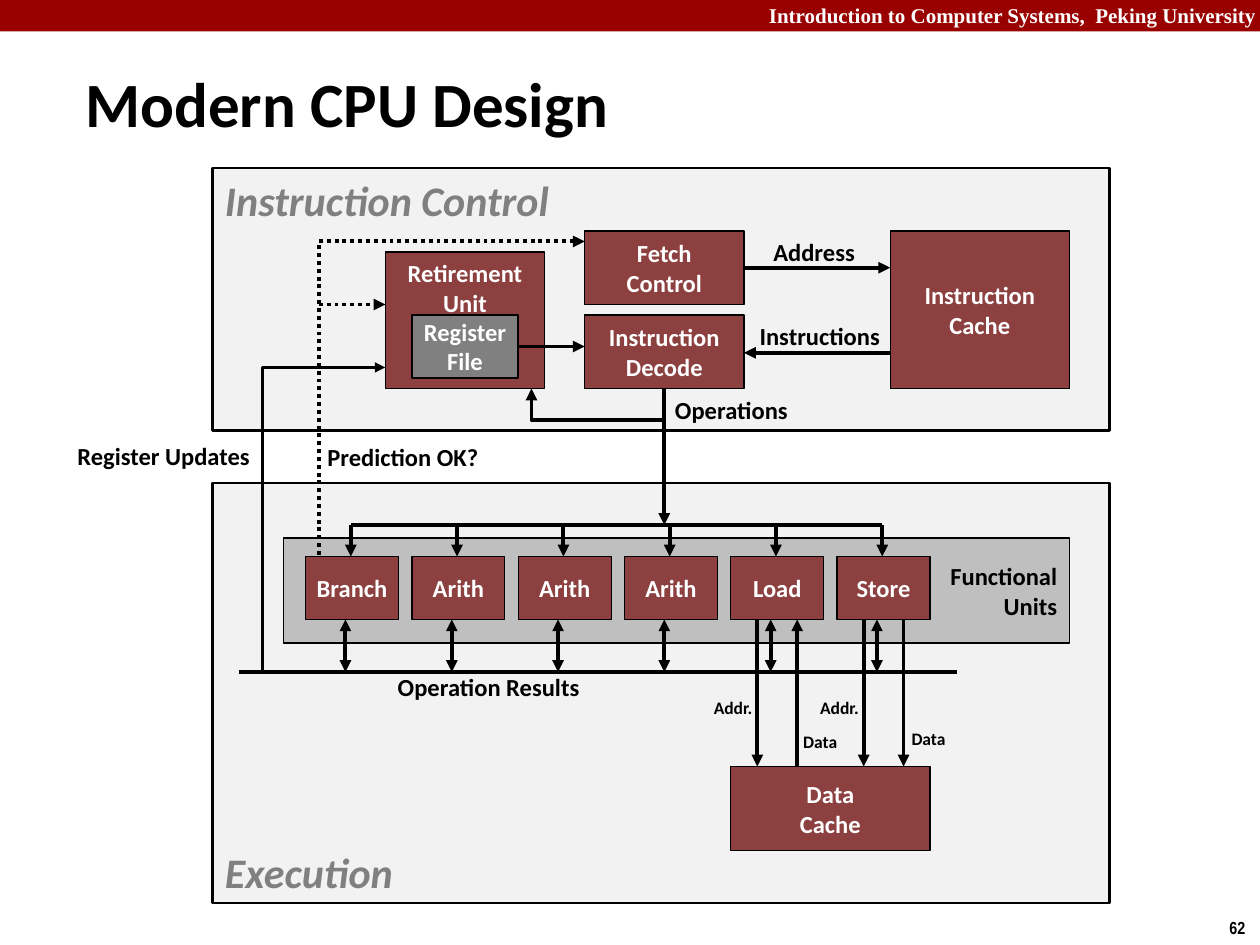
import pptx
import pptx.util
import pptx.dml.color
import pptx.enum.dml
import pptx.enum.shapes
import pptx.enum.text
import pptx.oxml
import pptx.oxml.ns

# Grid of the diagram, in inches
COLUMN, ROW = 5.8 / 55, 1 / 12
BLACK, WHITE, GREY, BRICK, PALE = "000000", "FFFFFF", "808080", "8C4040", "F2F2F2"
ALIGN = {"l": pptx.enum.text.PP_ALIGN.LEFT, "c": pptx.enum.text.PP_ALIGN.CENTER,
         "r": pptx.enum.text.PP_ALIGN.RIGHT}
ANCHOR = {"t": pptx.enum.text.MSO_ANCHOR.TOP, "m": pptx.enum.text.MSO_ANCHOR.MIDDLE,
          "b": pptx.enum.text.MSO_ANCHOR.BOTTOM}

# Page furniture, in inches: text, place, align, anchor, wrap, font format
PAGE_TEXTS = [
    ("Introduction to Computer Systems,  Peking University", (6, -0.03, 4.07, 0.3), "r", "t", True,
     dict(size=12, name="Times New Roman", color=WHITE)),
    ("62", (9.66, 7.23, 0.34, 0.27), "l", "t", False, dict(size=10, name="Arial Narrow")),
    ("Modern CPU Design", (0.58, 0.5, 6.41, 0.63), "l", "m", True, dict(size=36)),
]

# From here on: columns and rows of the grid (left, top, width, height)
HEADING = dict(size=24, color=GREY, italic=True)
PANELS = [  # text, place, fill, line width, align, anchor, font format
    ("Execution", (16, 46, 67.5, 40), PALE, 1.5, "l", "b", HEADING),
    ("Functional\nUnits", (21.33, 51.25, 59.17, 10), "BFBFBF", 0.75, "r", "m", {}),
    ("Instruction Control", (16, 16, 67.5, 25), PALE, 1.5, "l", "t", HEADING),
]
BLOCKS = [  # text, place, fill, anchor
    ("Instruction\nCache", (67, 22, 13.5, 15), BRICK, "m"),
    ("Data\nCache", (55, 73, 15, 8), BRICK, "m"),
    ("Fetch\nControl", (44, 22, 12, 7), BRICK, "m"),
    ("Instruction\nDecode", (44, 30, 12, 7), BRICK, "m"),
    ("Retirement\nUnit", (29, 24, 12, 13), BRICK, "t"),
    ("Register\nFile", (31, 30, 8, 6), GREY, "m"),
]
UNITS = ["Branch", "Arith", "Arith", "Arith", "Load", "Store"]
UNIT_LEFT, UNIT_PITCH, UNIT_WIDTH = 23, 8, 7
UNIT_TOP, UNIT_BOTTOM = 53, 59
ISSUE_ROW, RESULT_ROW, DATA_CACHE_ROW = 50, 64, 73

LINES = [  # points from start to end, format
    ([(56, 25.5), (67, 25.5)], dict(tail=True)),
    ([(67, 33.6), (56, 33.6)], dict(tail=True)),
    ([(50, 37), (50, ISSUE_ROW)], dict(tail=True)),
    ([(39, 33), (44, 33)], dict(tail=True)),
    ([(24, 29), (29, 29)], dict(tail=True, dotted=True)),
    ([(44, 23), (24, 23), (24, UNIT_TOP)], dict(head=True, dotted=True)),
    ([(29, 35), (19.75, 35), (19.75, RESULT_ROW)], dict(head=True, width=1.5)),
    ([(50, 40), (40, 40), (40, 37)], dict(tail=True)),
    ([(26.4, ISSUE_ROW), (66.4, ISSUE_ROW)], {}),
    ([(18, RESULT_ROW), (72, RESULT_ROW)], {}),
]
LABELS = [  # text, left, top, width, align, size
    ("Address", 57.2, 22, 8.15, "c", 14),
    ("Instructions", 56.15, 30, 11.1, "c", 14),
    ("Operations", 49.8, 37, 10.5, "c", 14),
    ("Prediction OK?", 23.7, 41.5, 13.4, "l", 14),
    ("Register Updates", 4.75, 41.4, 15, "r", 14),
    ("Operation Results", 29, 63.4, 15.75, "l", 14),
    ("Data", 67.6, 68.75, 4.55, "c", 10),
    ("Data", 59.45, 69, 4.55, "c", 10),
    ("Addr.", 52.7, 65.75, 4.95, "c", 10),
    ("Addr.", 60.7, 65.75, 4.95, "c", 10),
]
for index in range(len(UNITS)):
    issue, result = 26.4 + index * UNIT_PITCH, 26 + index * UNIT_PITCH
    LINES.append(([(issue, ISSUE_ROW), (issue, UNIT_TOP)], dict(tail=True)))
    LINES.append(([(result, UNIT_BOTTOM), (result, RESULT_ROW)], dict(head=True, tail=True)))
for column, upward in [(57, False), (60, True), (65, False), (68, False)]:
    ends = [(column, UNIT_BOTTOM), (column, DATA_CACHE_ROW)]
    LINES.append((ends[::-1] if upward else ends, dict(tail=True)))


def rgb(color):
    return pptx.dml.color.RGBColor.from_string(color)


def on_grid(left, top, width, height):
    return left * COLUMN, top * ROW, width * COLUMN, height * ROW


def write(shape, text, align, anchor, wrap, size=14, name="Calibri", color=BLACK, italic=False):
    frame = shape.text_frame
    frame.word_wrap = wrap
    frame.vertical_anchor = ANCHOR[anchor]
    for number, line in enumerate(text.split("\n")):
        paragraph = frame.add_paragraph() if number else frame.paragraphs[0]
        paragraph.alignment = ALIGN[align]
        run = paragraph.add_run()
        run.text = line
        font_format = dict(size=pptx.util.Pt(size), name=name, bold=True, italic=italic)
        for key, value in font_format.items():
            setattr(run.font, key, value)
        run.font.color.rgb = rgb(color)


def add_box(slide, place, fill, line_width=0):
    shape = slide.shapes.add_shape(pptx.enum.shapes.MSO_SHAPE.RECTANGLE,
                                   *map(pptx.util.Inches, place))
    shape.shadow.inherit = False
    shape.fill.solid()
    shape.fill.fore_color.rgb = rgb(fill)
    if line_width:
        shape.line.color.rgb = rgb(BLACK)
        shape.line.width = pptx.util.Pt(line_width)
    else:
        shape.line.fill.background()
    return shape


def add_text(slide, text, place, align, anchor, wrap, font_format):
    box = slide.shapes.add_textbox(*map(pptx.util.Inches, place))
    write(box, text, align, anchor, wrap, **font_format)


def add_line(slide, points, head=False, tail=False, dotted=False, width=2.25):
    """Draw a connector for two points, an open outline for more."""
    points = [(pptx.util.Inches(x * COLUMN), pptx.util.Inches(y * ROW)) for x, y in points]
    if len(points) == 2:
        shape = slide.shapes.add_connector(pptx.enum.shapes.MSO_CONNECTOR.STRAIGHT,
                                           *points[0], *points[1])
        pptx.oxml.ns  # namespace helpers
        shape._element.spPr.append(pptx.oxml.parse_xml(
            "<a:effectLst %s/>" % pptx.oxml.ns.nsdecls("a")))
    else:
        builder = slide.shapes.build_freeform(*points[0])
        builder.add_line_segments(points[1:], close=False)
        shape = builder.convert_to_shape()
        shape.fill.background()
        shape.shadow.inherit = False
    shape.line.color.rgb = rgb(BLACK)
    shape.line.width = pptx.util.Pt(width)
    if dotted:
        shape.line.dash_style = pptx.enum.dml.MSO_LINE.ROUND_DOT
    for tag, wanted in [("headEnd", head), ("tailEnd", tail)]:
        if wanted:
            shape.line._get_or_add_ln().append(pptx.oxml.parse_xml(
                '<a:%s %s type="triangle"/>' % (tag, pptx.oxml.ns.nsdecls("a"))))


def main():
    presentation = pptx.Presentation()
    presentation.slide_width = pptx.util.Inches(10)
    presentation.slide_height = pptx.util.Inches(7.5)
    slide = presentation.slides.add_slide(presentation.slide_layouts[6])

    add_box(slide, (0, 0, 10, 0.25), "990000")
    for page_text in PAGE_TEXTS:
        add_text(slide, *page_text)
    for text, place, fill, line_width, align, anchor, font_format in PANELS:
        panel = add_box(slide, on_grid(*place), fill, line_width)
        write(panel, text, align, anchor, False, **font_format)
    units = [(text, (UNIT_LEFT + index * UNIT_PITCH, UNIT_TOP, UNIT_WIDTH, UNIT_BOTTOM - UNIT_TOP),
              BRICK, "m") for index, text in enumerate(UNITS)]
    for text, place, fill, anchor in BLOCKS + units:
        block = add_box(slide, on_grid(*place), fill, 0.75)
        write(block, text, "c", anchor, False, color=WHITE)
    for points, line_format in LINES:
        add_line(slide, points, **line_format)
    for text, left, top, width, align, size in LABELS:
        place = on_grid(left, top, width, 4 if size == 14 else 3.25)
        add_text(slide, text, place, align, "t", False, dict(size=size))
    presentation.save("out.pptx")


if __name__ == "__main__":
    main()
